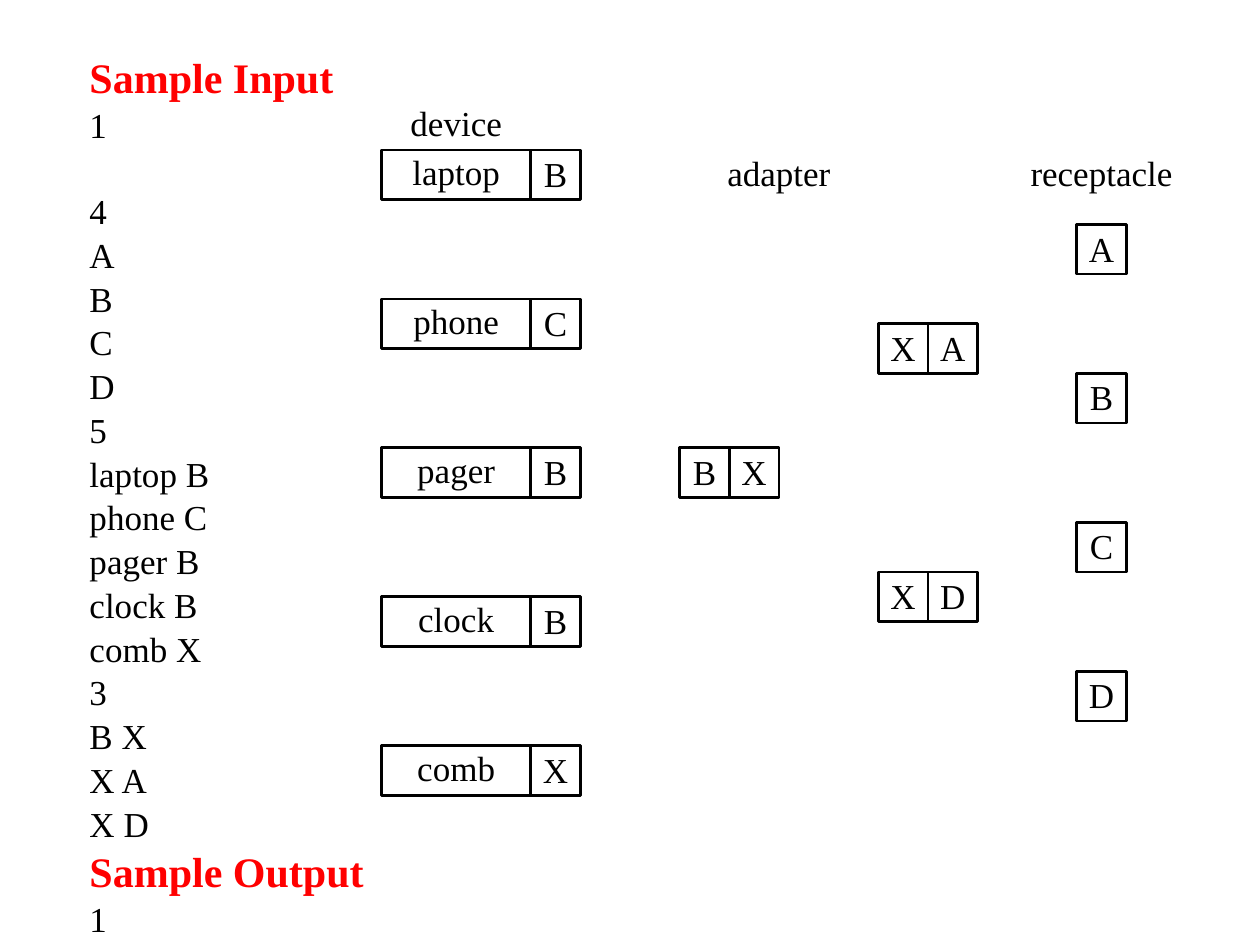
from lxml.etree import SubElement
from pptx import Presentation
from pptx.dml.color import RGBColor
from pptx.enum.shapes import MSO_SHAPE
from pptx.enum.text import MSO_ANCHOR, MSO_AUTO_SIZE, PP_ALIGN
from pptx.oxml.ns import qn
from pptx.util import Inches, Pt

HEADINGS = ("Sample Input", "Sample Output")
SAMPLE_LINES = [
    "Sample Input", "1", "4", "A", "B", "C", "D", "5",
    "laptop B", "phone C", "pager B", "clock B", "comb X",
    "3", "B X", "X A", "X D", "Sample Output", "1",
]
TEST_CASE_START = 2
DEVICES = [("laptop", "B"), ("phone", "C"), ("pager", "B"), ("clock", "B"), ("comb", "X")]
RECEPTACLES = "ABCD"
ADAPTERS = [("BX", 6, 6), ("XA", 10, 3.5), ("XD", 10, 8.5)]
LABELS = [("device", 0, -1), ("adapter", 6.5, 0), ("receptacle", 13, 0)]


def color(hex_string):
    return RGBColor.from_string(hex_string)


class PlugDiagram:
    font_name = "Times New Roman"
    text_size = 20
    heading_size = 24
    black, white, red = "000000", "FFFFFF", "FF0000"
    left, top, cell = 3.03, 1.19, 0.394

    def __init__(self, slide):
        self.slide = slide

    def place(self, column, row, columns):
        return (
            Inches(self.left + column * self.cell),
            Inches(self.top + row * self.cell),
            Inches(columns * self.cell),
            Inches(self.cell),
        )

    def style(self, paragraph, size=text_size, hex_string=black, bold=False):
        for run in paragraph.runs:
            run.font.name = self.font_name
            run.font.size = Pt(size)
            run.font.bold = bold
            run.font.color.rgb = color(hex_string)

    def center_text(self, shape, text, bottom, wrap):
        frame = shape.text_frame
        frame.text = text
        frame.word_wrap = wrap
        frame.vertical_anchor = MSO_ANCHOR.MIDDLE
        frame.margin_left = frame.margin_right = frame.margin_top = 0
        frame.margin_bottom = Inches(bottom)
        frame.paragraphs[0].alignment = PP_ALIGN.CENTER
        self.style(frame.paragraphs[0])

    def box(self, text, column, row, columns=1, bottom=0.02):
        shape = self.slide.shapes.add_shape(
            MSO_SHAPE.RECTANGLE, *self.place(column, row, columns))
        shape.shadow.inherit = False
        shape.fill.solid()
        shape.fill.fore_color.rgb = color(self.white)
        shape.line.color.rgb = color(self.black)
        shape.line.width = Pt(1.5)
        self.center_text(shape, text, bottom, True)

    def label(self, text, column, row):
        shape = self.slide.shapes.add_textbox(*self.place(column, row, 3))
        self.center_text(shape, text, 0.04, False)

    def sample(self, shape, lines):
        shape.left, shape.top = Inches(0.67), Inches(0.41)
        shape.width, shape.height = Inches(2.36), Inches(6.89)
        frame = shape.text_frame
        frame.auto_size = MSO_AUTO_SIZE.NONE
        frame.vertical_anchor = MSO_ANCHOR.TOP
        frame.margin_left = frame.margin_right = Inches(0.04)
        frame.margin_top, frame.margin_bottom = 0, Inches(0.05)
        frame.text = "\n".join(lines)
        for index, paragraph in enumerate(frame.paragraphs):
            paragraph.alignment = PP_ALIGN.LEFT
            paragraph.space_before = Pt(
                0 if index == 0 else 25 if index == TEST_CASE_START else 1)
            properties = paragraph._p.get_or_add_pPr()
            properties.set("marL", "0")
            properties.set("indent", "0")
            SubElement(properties, qn("a:buNone"))
            if paragraph.text in HEADINGS:
                self.style(paragraph, self.heading_size, self.red, True)
            else:
                self.style(paragraph)


def main():
    presentation = Presentation()
    presentation.slide_width, presentation.slide_height = Inches(10), Inches(7.5)
    slide = presentation.slides.add_slide(
        presentation.slide_layouts.get_by_name("Title and Content"))
    title = slide.shapes.title.element
    title.getparent().remove(title)

    diagram = PlugDiagram(slide)
    diagram.sample(slide.placeholders[1], SAMPLE_LINES)
    for index, (device, plug) in enumerate(DEVICES):
        diagram.box(device, 0, 3 * index, columns=3, bottom=0.05)
        diagram.box(plug, 3, 3 * index)
    for label in LABELS:
        diagram.label(*label)
    for index, receptacle in enumerate(RECEPTACLES):
        diagram.box(receptacle, 14, 1.5 + 3 * index)
    for ends, column, row in ADAPTERS:
        for offset, end in enumerate(ends):
            diagram.box(end, column + offset, row)
    presentation.save("out.pptx")


if __name__ == "__main__":
    main()
